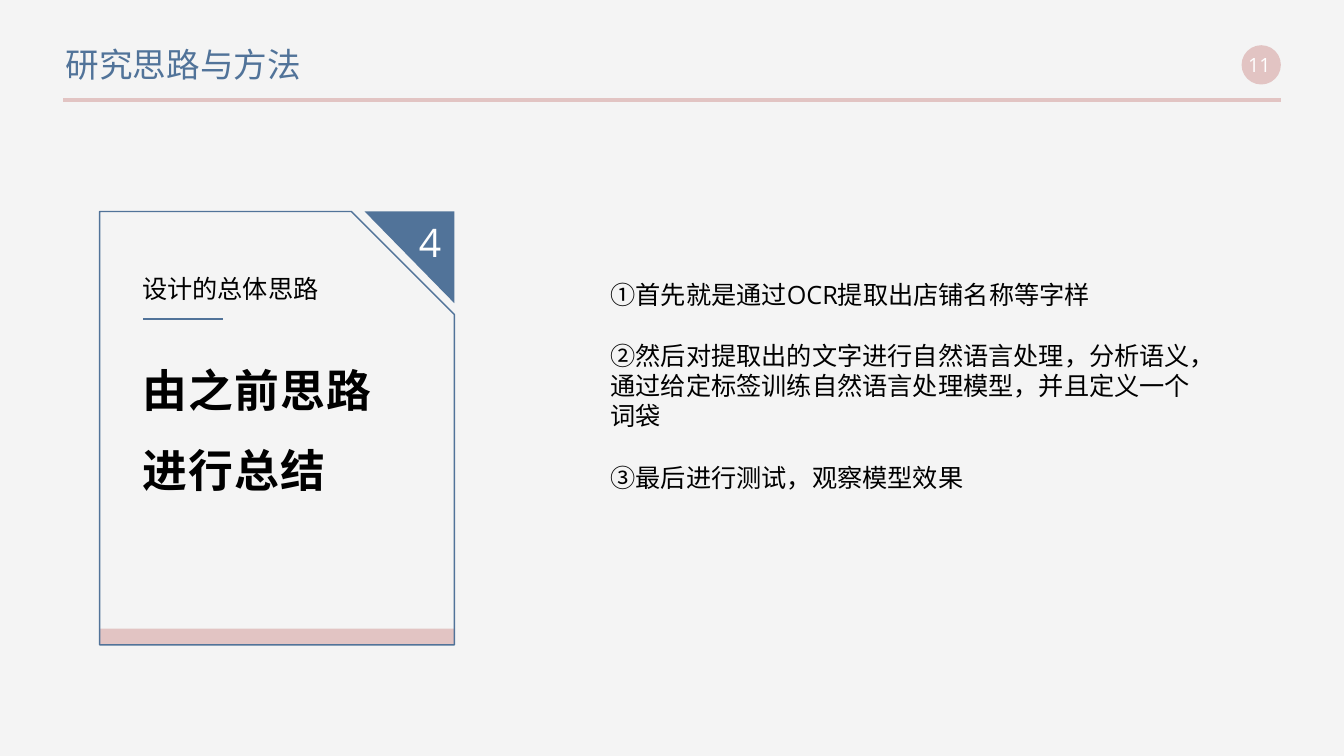
"""Build the slide that sums up the research approach."""
from dataclasses import dataclass, field

from lxml import etree
from pptx import Presentation
from pptx import util as u
from pptx.dml import color
from pptx.enum import shapes, text
from pptx.oxml import ns

COLOURS = {"page": "F4F4F4", "blue": "517399", "pink": "E2C4C3",
           "white": "FFFFFF", "black": "000000"}
CHINESE_FONT = "Noto Sans CJK SC"
CARD_LEFT, CARD_TOP, CARD_WIDTH, CARD_HEIGHT = 2.51, 5.33, 8.94, 10.92
BAR_HEIGHT = 0.41
CORNER_WIDTH, CORNER_HEIGHT = 2.26, 2.31


@dataclass
class Label:
    """Text with its place in centimetres and its format values."""
    lines: list[str]
    place: tuple[float, float, float, float]
    font: dict
    colour: str = "black"
    frame: dict = field(default_factory=dict)
    paragraph: dict = field(default_factory=dict)
    tracking: int = 0


@dataclass
class Panel:
    """A preset shape with its place in centimetres."""
    kind: shapes.MSO_SHAPE
    place: tuple[float, float, float, float]
    fill: str = ""
    line: str = ""
    snip: float = 0


@dataclass
class Rule:
    """A horizontal line in centimetres, with its width in points."""
    left: float
    right: float
    top: float
    colour: str
    width: float


PANELS = [
    Panel(shapes.MSO_SHAPE.OVAL, (31.29, 1.14, 0.99, 0.99), fill="pink"),
    Panel(shapes.MSO_SHAPE.RECTANGLE,
          (CARD_LEFT, CARD_TOP + CARD_HEIGHT - BAR_HEIGHT, CARD_WIDTH, BAR_HEIGHT),
          fill="pink"),
    Panel(shapes.MSO_SHAPE.SNIP_1_RECTANGLE,
          (CARD_LEFT, CARD_TOP, CARD_WIDTH, CARD_HEIGHT), line="blue", snip=0.29),
]
RULES = [Rule(1.6, 32.28, 2.52, "pink", 3), Rule(3.61, 5.61, 8.03, "blue", 1.5)]

TITLE = Label(["研究思路与方法"], (1.4, 0.97, 7, 1.27),
              {"name": CHINESE_FONT, "size": u.Pt(24)}, "blue",
              {"vertical_anchor": text.MSO_ANCHOR.MIDDLE},
              {"alignment": text.PP_ALIGN.LEFT})
STEPS = Label(["①首先就是通过OCR提取出店铺名称等字样",
               "②然后对提取出的文字进行自然语言处理，分析语义，"
               "通过给定标签训练自然语言处理模型，并且定义一个词袋",
               "③最后进行测试，观察模型效果"],
              (15.13, 6.91, 15.44, 7.19),
              {"name": "Open Sans", "size": u.Pt(18)},
              paragraph={"space_before": u.Pt(0), "space_after": u.Pt(22)})
NUMBER = Label(["4"], (CARD_LEFT + CARD_WIDTH - CORNER_WIDTH, CARD_TOP,
                       CORNER_WIDTH, CORNER_HEIGHT),
               {"name": "Open Sans", "size": u.Pt(28)}, "white",
               {"vertical_anchor": text.MSO_ANCHOR.TOP,
                "margin_left": u.Cm(0.33), "margin_right": u.Cm(0.33),
                "margin_top": u.Cm(0.18), "margin_bottom": u.Cm(0.18)},
               {"alignment": text.PP_ALIGN.RIGHT})
LABELS = [
    Label(["11"], (31.04, 1.24, 1.4, 0.76),
          {"name": "Open Sans", "size": u.Pt(14)}, "white",
          {"vertical_anchor": text.MSO_ANCHOR.MIDDLE},
          {"alignment": text.PP_ALIGN.CENTER}),
    Label(["设计的总体思路"], (3.33, 6.76, 4.95, 1.02),
          {"name": "Arial", "size": u.Pt(18)}, frame={"word_wrap": False}),
    Label(["由之前思路进行总结"], (3.33, 8.33, 7.19, 4.37),
          {"name": "Open Sans", "size": u.Pt(32), "bold": True},
          paragraph={"line_spacing": 1.5}, tracking=100),
]


def rgb(name: str) -> color.RGBColor:
    """Return a named colour."""
    return color.RGBColor.from_string(COLOURS[name])


def apply(target, values: dict) -> None:
    """Set every format value on the target."""
    for name, value in values.items():
        setattr(target, name, value)


def move(box, place: tuple[float, float, float, float]) -> None:
    """Place a box by centimetres."""
    apply(box, dict(zip(("left", "top", "width", "height"), map(u.Cm, place))))


def paint(shape, fill: str, line: str = "") -> None:
    """Give a shape its fill and outline without a shadow."""
    shape.shadow.inherit = False
    if fill:
        shape.fill.solid()
        shape.fill.fore_color.rgb = rgb(fill)
    else:
        shape.fill.background()
    if line:
        shape.line.color.rgb = rgb(line)
        shape.line.width = u.Pt(1)
    else:
        shape.line.fill.background()


def write(box, label: Label) -> None:
    """Fill a box with formatted, unbulleted text."""
    frame = box.text_frame
    frame.text = "\n".join(label.lines)
    apply(frame, {"word_wrap": True, "auto_size": text.MSO_AUTO_SIZE.NONE,
                  **label.frame})
    for para in frame.paragraphs:
        apply(para, label.paragraph)
        properties = para._p.get_or_add_pPr()
        properties.set("marL", "0")
        properties.set("indent", "0")
        etree.SubElement(properties, ns.qn("a:buNone"))
        for span in para.runs:
            apply(span.font, label.font)
            span.font.color.rgb = rgb(label.colour)
            span_properties = span._r.get_or_add_rPr()
            etree.SubElement(span_properties, ns.qn("a:ea"), typeface=CHINESE_FONT)
            if label.tracking:
                span_properties.set("spc", str(label.tracking))


def draw_panel(page, panel: Panel) -> None:
    """Draw a preset shape."""
    shape = page.shapes.add_shape(panel.kind, *map(u.Cm, panel.place))
    if panel.snip:
        shape.adjustments[0] = panel.snip
    paint(shape, panel.fill, panel.line)


def draw_rule(page, rule: Rule) -> None:
    """Draw a horizontal line."""
    line = page.shapes.add_connector(
        shapes.MSO_CONNECTOR.STRAIGHT,
        *map(u.Cm, (rule.left, rule.top, rule.right, rule.top)))
    line.line.color.rgb = rgb(rule.colour)
    line.line.width = u.Pt(rule.width)
    etree.SubElement(line._element.spPr, ns.qn("a:effectLst"))


def draw_corner(page, label: Label) -> None:
    """Draw the numbered triangle in the snipped corner."""
    left, top, width, height = map(u.Cm, label.place)
    builder = page.shapes.build_freeform(left + width, top)
    builder.add_line_segments([(left, top), (left + width, top + height)])
    corner = builder.convert_to_shape()
    paint(corner, "blue")
    write(corner, label)


def main() -> None:
    """Build and save the deck."""
    deck = Presentation()
    deck.slide_width, deck.slide_height = u.Cm(33.87), u.Cm(19.05)
    page = deck.slides.add_slide(deck.slide_layouts[1])
    page.background.fill.solid()
    page.background.fill.fore_color.rgb = rgb("page")
    for box, label in zip(page.placeholders, (TITLE, STEPS)):
        move(box, label.place)
        write(box, label)
    for panel in PANELS:
        draw_panel(page, panel)
    for rule in RULES:
        draw_rule(page, rule)
    draw_corner(page, NUMBER)
    for label in LABELS:
        write(page.shapes.add_textbox(*map(u.Cm, label.place)), label)
    deck.save("out.pptx")


if __name__ == "__main__":
    main()
